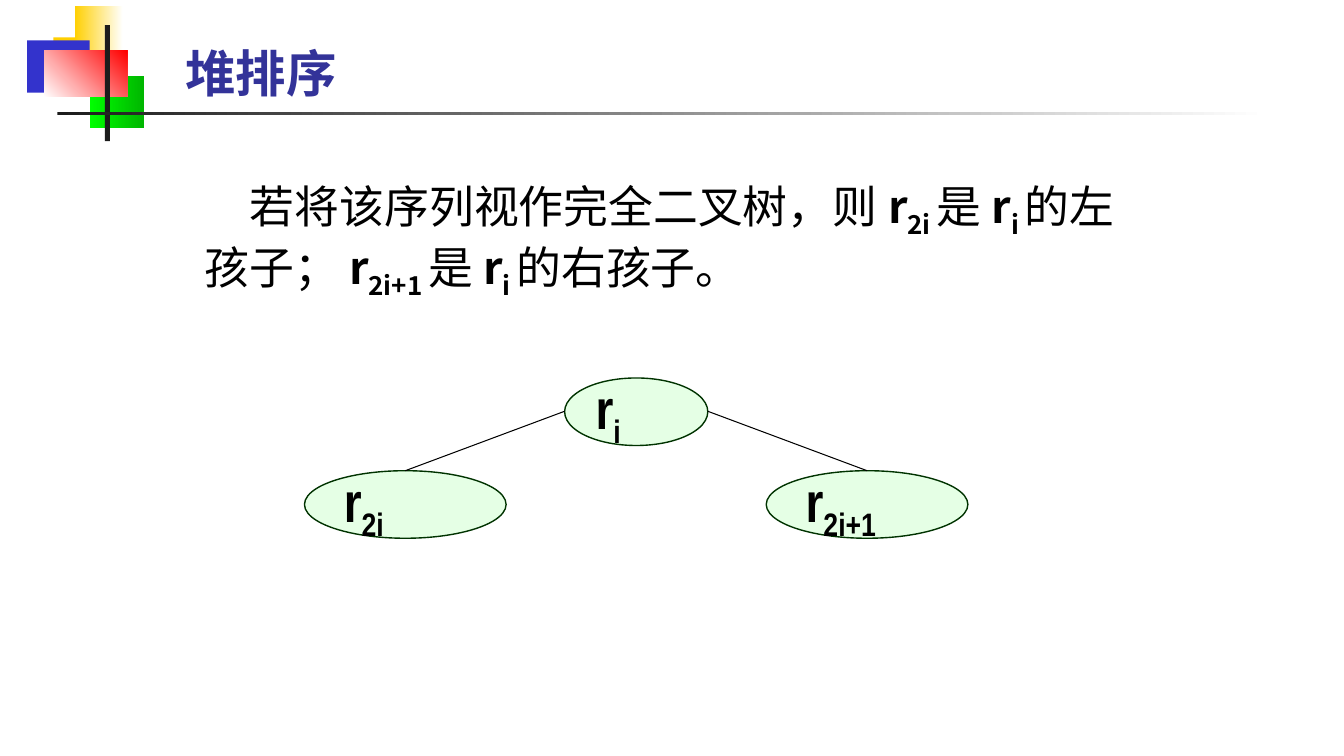
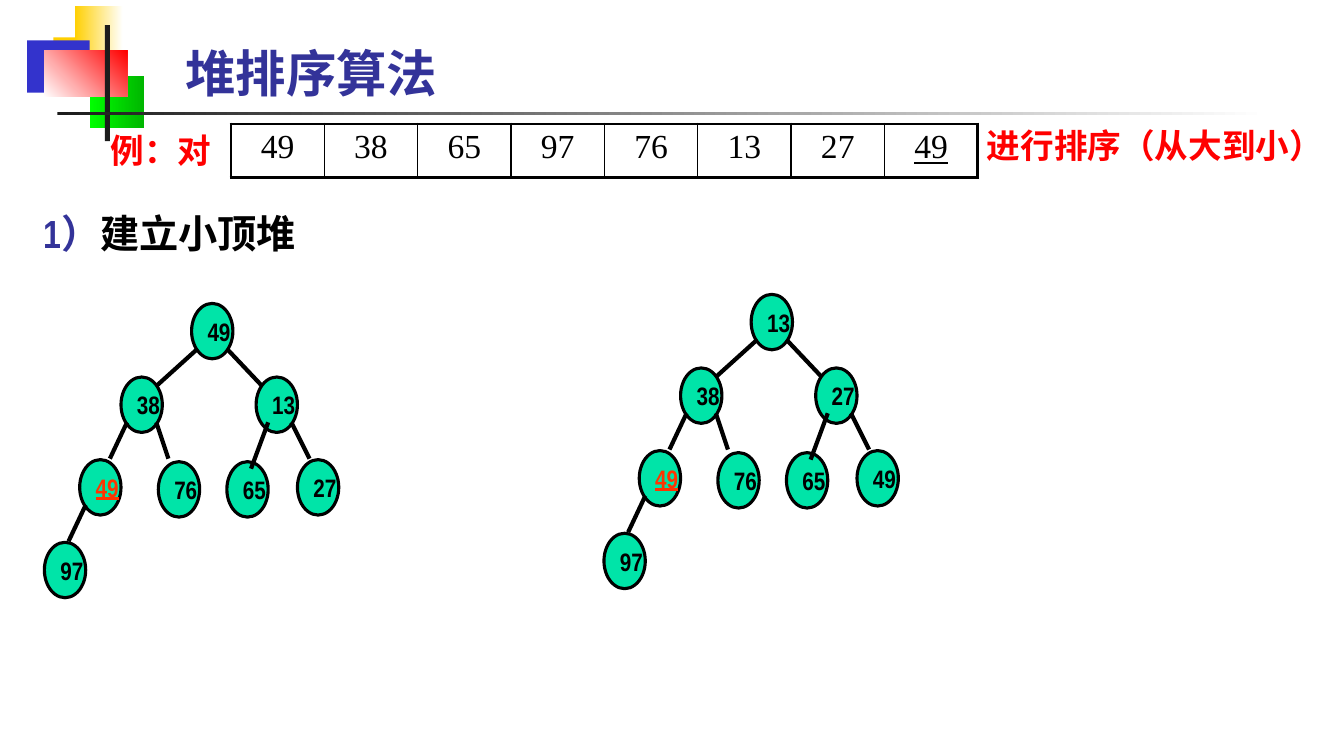
from lxml import etree
from pptx import Presentation
from pptx.dml.color import RGBColor
from pptx.enum.shapes import MSO_CONNECTOR, MSO_SHAPE
from pptx.enum.text import MSO_AUTO_SIZE, PP_ALIGN
from pptx.oxml.ns import qn
from pptx.util import Inches, Pt

RECT = MSO_SHAPE.RECTANGLE
OVAL = MSO_SHAPE.OVAL
STRAIGHT = MSO_CONNECTOR.STRAIGHT
GROW = MSO_AUTO_SIZE.SHAPE_TO_FIT_TEXT
LEFT = PP_ALIGN.LEFT
CENTER = PP_ALIGN.CENTER

BLACK = RGBColor(0, 0, 0)
WHITE = RGBColor(255, 255, 255)
INK = RGBColor(0x1C, 0x1C, 0x1C)
GOLD = RGBColor(0xFF, 0xCF, 0x01)
BLUE = RGBColor(0x33, 0x33, 0xCC)
NAVY = RGBColor(0x33, 0x33, 0x99)
RED = RGBColor(0xFF, 0, 0)
ORANGE = RGBColor(0xFF, 0x33, 0)
LIME = RGBColor(0, 0xFF, 0)
GREEN = RGBColor(0, 0xB6, 0)
MINT = RGBColor(0xCC, 0xFF, 0xCC)
FOREST = RGBColor(0, 0x33, 0)
TEAL = RGBColor(0, 0xE4, 0xA8)

NARROW = "Arial Narrow"
HAN = "Noto Sans CJK SC"
SERIF = "Times New Roman"

TITLE = dict(name=NARROW, size=Pt(36), bold=True, color=NAVY)
BODY = dict(name=HAN, size=Pt(32), color=BLACK)
VAR = dict(BODY, bold=True)
SUB = dict(VAR, base=-25)
LABEL = dict(name=NARROW, size=Pt(40), bold=True, color=BLACK)
INDEX = dict(LABEL, base=-25)
STEP = dict(name=NARROW, size=Pt(28), bold=True, color=NAVY)
NOTE = dict(name=NARROW, size=Pt(24), bold=True, color=RED)
KEY = dict(name=NARROW, size=Pt(18), bold=True, color=BLACK)
TWIN = dict(KEY, color=ORANGE, underline=True)
CELL = dict(name=SERIF, size=Pt(24), color=BLACK)

FRAME = [
    ((0.53, 0.37, 0.64, 0.52), [GOLD], 0),
    ((0.74, 0.06, 0.48, 0.52), [GOLD, WHITE], 0),
    ((0.27, 0.4, 0.62, 0.52), [BLUE], 0),
    ((0.89, 0.75, 0.54, 0.52), [LIME, GREEN], 0),
    ((0.44, 0.5, 0.82, 0.46), [WHITE, RED], 45),
    ((1.04, 0.25, 0.05, 1.15), [INK], 0),
    ((0.57, 1.11, 12, 0.03), [INK, WHITE], 0),
]

SPOTS = [(1.46, 0), (0.76, 0.73), (2.1, 0.73), (0.35, 1.55),
         (1.13, 1.57), (1.81, 1.57), (2.51, 1.55), (0, 2.37)]
EDGES = [(1.52, 0.45, 1.11, 0.82), (1.81, 0.45, 2.16, 0.82),
         (0.82, 1.18, 0.65, 1.54), (1.11, 1.18, 1.23, 1.54),
         (2.22, 1.18, 2.05, 1.64), (2.45, 1.18, 2.63, 1.54),
         (0.41, 2, 0.24, 2.36)]
TWIN_SPOT = 3


def inches(nums):
    return [Inches(num) for num in nums]


def write(para, runs, align=LEFT):
    para.alignment = align
    for text, style in runs:
        run = para.add_run()
        run.text = text
        for key, value in style.items():
            if key == "color":
                run.font.color.rgb = value
            elif key == "base":
                run.font._element.set("baseline", str(value * 1000))
            else:
                setattr(run.font, key, value)
        east = etree.SubElement(run.font._element, qn("a:ea"))
        east.set("typeface", HAN)


def add_text(slide, box, runs, indent=0):
    frame = slide.shapes.add_textbox(*inches(box)).text_frame
    frame.word_wrap = True
    frame.auto_size = GROW
    para = frame.paragraphs[0]
    write(para, runs)
    if indent:
        para._p.get_or_add_pPr().set("indent", str(Inches(indent)))


def add_block(slide, box, colors, angle):
    block = slide.shapes.add_shape(RECT, *inches(box))
    block.shadow.inherit = False
    block.line.fill.background()
    if len(colors) == 1:
        block.fill.solid()
        block.fill.fore_color.rgb = colors[0]
    else:
        block.fill.gradient()
        block.fill.gradient_angle = angle
        for stop, color in zip(block.fill.gradient_stops, colors):
            stop.color.rgb = color
    return block


def add_oval(shapes, box, runs, fill, edge, width, alpha=None):
    oval = shapes.add_shape(OVAL, *inches(box))
    oval.shadow.inherit = False
    oval.fill.solid()
    oval.fill.fore_color.rgb = fill
    oval.line.color.rgb = edge
    oval.line.width = Pt(width)
    if alpha:
        tint = oval.element.spPr.find(qn("a:solidFill")).find(qn("a:srgbClr"))
        etree.SubElement(tint, qn("a:alpha")).set("val", str(alpha * 1000))
    oval.text_frame.word_wrap = False
    write(oval.text_frame.paragraphs[0], runs)


def add_line(shapes, ends, width):
    line = shapes.add_connector(STRAIGHT, *inches(ends))
    line.line.color.rgb = BLACK
    line.line.width = Pt(width)
    etree.SubElement(line.element.spPr, qn("a:effectLst"))


def add_tree(slide, left, top, keys):
    shapes = slide.shapes.add_group_shape().shapes
    for spot, ((x, y), key) in enumerate(zip(SPOTS, keys)):
        style = TWIN if spot == TWIN_SPOT else KEY
        box = (left + x, top + y, 0.41, 0.55)
        add_oval(shapes, box, [(key, style)], TEAL, BLACK, 2.25)
    for x1, y1, x2, y2 in EDGES:
        add_line(shapes, (left + x1, top + y1, left + x2, top + y2), 3)


def set_edges(cell, widths):
    props = cell._tc.get_or_add_tcPr()
    for spot, (side, width) in enumerate(widths.items()):
        edge = etree.Element(qn("a:ln" + side), w=str(Pt(width)))
        paint = etree.SubElement(edge, qn("a:solidFill"))
        etree.SubElement(paint, qn("a:srgbClr")).set("val", str(BLACK))
        props.insert(spot, edge)


def add_row(slide, box, keys):
    table = slide.shapes.add_table(1, len(keys), *inches(box)).table
    table.first_row = False
    table.horz_banding = False
    last = len(keys) - 1
    for col, key in enumerate(keys):
        cell = table.cell(0, col)
        cell.fill.background()
        style = dict(CELL, underline=True) if col == last else CELL
        write(cell.text_frame.paragraphs[0], [(key, style)], CENTER)
        set_edges(cell, dict(L=2.25 if col == 0 else 1,
                             R=2.25 if col == last else 1, T=2.25, B=2.25))


def add_frame(layout, slide):
    for box, colors, angle in FRAME:
        block = add_block(slide, box, colors, angle)
        layout.shapes.element.append(block.element)


def add_title(slide, text, width):
    add_text(slide, (1.74, 0.37, width, 0.71), [(text, TITLE)])


def fill_rule(slide):
    for left, top, width, index in [(5.6, 3.75, 1.42, "i"),
                                    (3.02, 4.67, 2, "2i "),
                                    (7.6, 4.67, 2, "2i+1 ")]:
        add_oval(slide.shapes, (left, top, width, 0.67),
                 [("r", LABEL), (index, INDEX)], MINT, FOREST, 1, 50)
    add_line(slide.shapes, (5.6, 4.08, 4.02, 4.67), 0.75)
    add_line(slide.shapes, (7.02, 4.08, 8.6, 4.67), 0.75)
    runs = []
    for text, index in [("若将该序列视作完全二叉树，则 ", "2i "), ("是 ", "i "),
                        ("的左孩子； ", "2i+1 "), ("是 ", "i ")]:
        runs += [(text, BODY), ("r", VAR), (index, SUB)]
    runs.append(("的右孩子。", BODY))
    add_text(slide, (1.93, 1.72, 9.59, 1.25), runs, 0.45)
    add_title(slide, "堆排序", 3.69)


def fill_sort(slide):
    add_title(slide, "堆排序算法", 4.9)
    add_row(slide, (2.29, 1.23, 7.41, 0.53),
            ["49", "38", "65", "97", "76", "13", "27", "49"])
    add_text(slide, (0.33, 2.03, 3.61, 0.57),
             [("1）", STEP), ("建立小顶堆", dict(STEP, color=BLACK))])
    add_tree(slide, 0.44, 3.01,
             ["49", "38", "13", "49", "76", "65", "27", "97"])
    add_tree(slide, 5.99, 2.92,
             ["13", "38", "27", "49", "76", "65", "49", "97"])
    add_text(slide, (1, 1.24, 1.69, 0.5), [("例：对", NOTE)])
    add_text(slide, (9.69, 1.19, 3.76, 0.5), [("进行排序（从大到小）", NOTE)])


def main():
    prs = Presentation()
    prs.slide_width, prs.slide_height = inches((13.33, 7.5))
    blank = prs.slide_layouts[6]
    rule = prs.slides.add_slide(blank)
    add_frame(blank, rule)
    fill_rule(rule)
    fill_sort(prs.slides.add_slide(blank))
    prs.save("out.pptx")


main()
